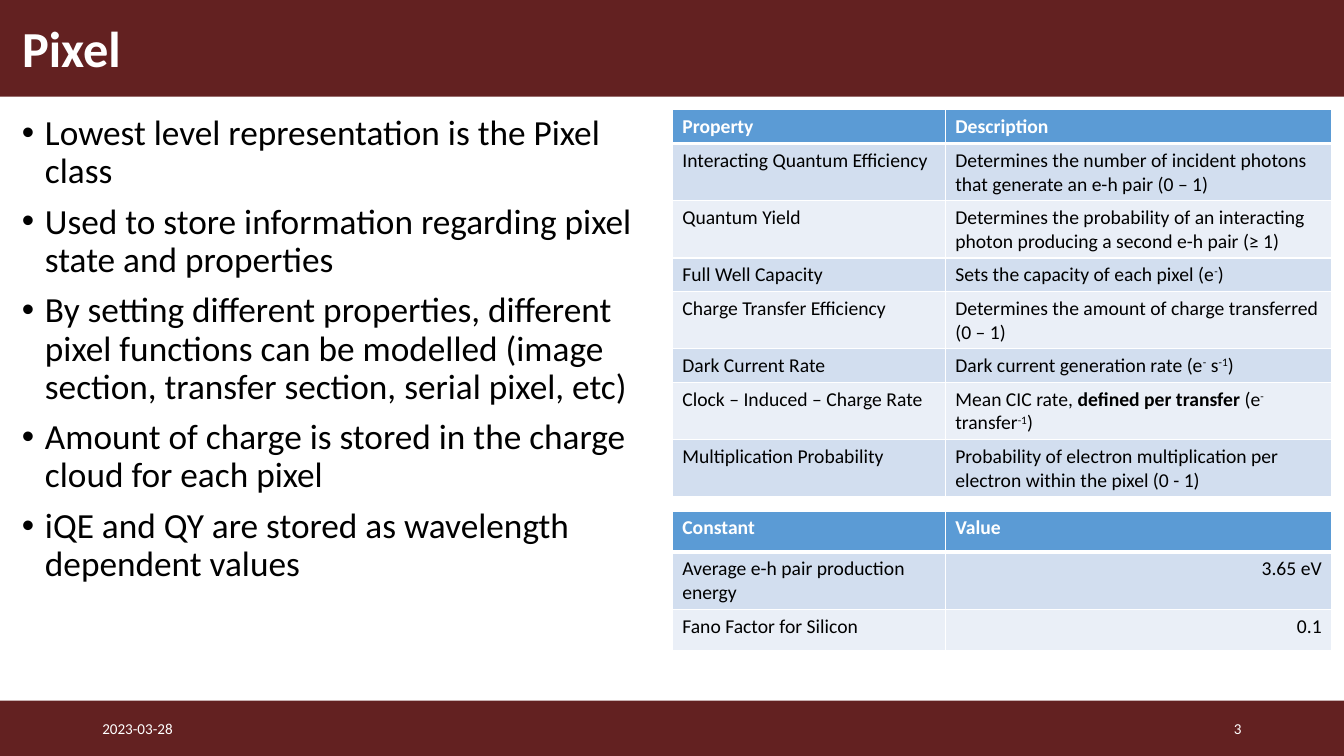
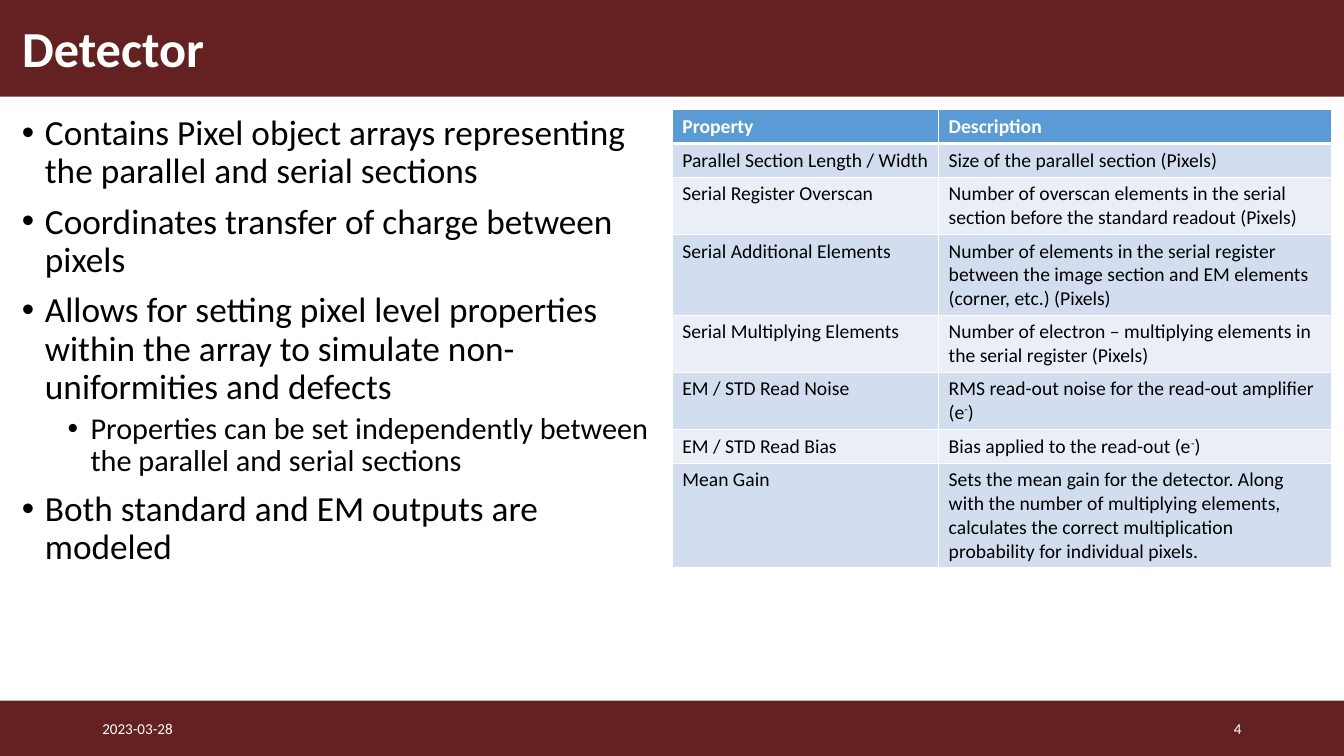
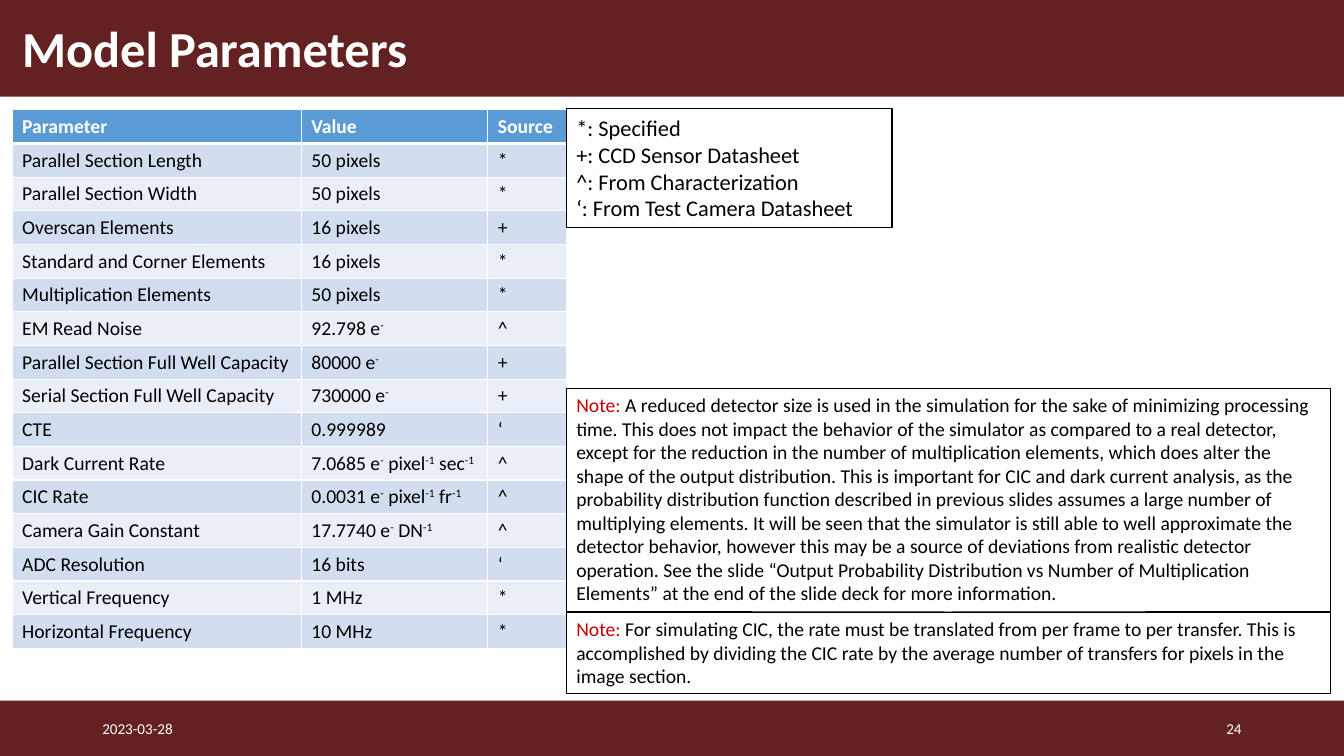
from dataclasses import dataclass

import pptx
import pptx.dml.color
import pptx.enum.shapes
import pptx.enum.text
import pptx.oxml
import pptx.oxml.ns
import pptx.util
from lxml import etree

Pt = pptx.util.Pt
Align = pptx.enum.text.PP_ALIGN
Anchor = pptx.enum.text.MSO_ANCHOR
qn = pptx.oxml.ns.qn


@dataclass(frozen=True)
class Theme:
    font: str = "Calibri"
    band: str = "632121"
    white: str = "FFFFFF"
    black: str = "000000"
    warning: str = "C00000"
    header: str = "5B9BD5"
    stripes: tuple = ("D2DEEF", "EAEFF7")
    title_size: float = 36
    body_sizes: tuple = (25.2, 21.6)
    table_size: float = 14
    legend_size: float = 16
    footer_size: float = 10.8


THEME = Theme()
WIDTH, HEIGHT = 960, 540
MARGIN, TOP = 8.64, 78.5
RIGHT_COLUMN = 480.2
NOTES_LEFT, NOTES_WIDTH = 404.6, 546


def rgb(value):
    return pptx.dml.color.RGBColor.from_string(value)


def write(paragraph, text, size, color=THEME.black, bold=False, align=None,
          line_spacing=None, before=None, bullet_indent=None):
    if bullet_indent is not None:
        properties = paragraph._p.get_or_add_pPr()
        properties.set("marL", str(Pt(bullet_indent)))
        properties.set("indent", str(-Pt(16.4)))
        etree.SubElement(properties, qn("a:buFont")).set("typeface", "Arial")
        etree.SubElement(properties, qn("a:buChar")).set("char", "•")
    if align is not None:
        paragraph.alignment = align
    if line_spacing is not None:
        paragraph.line_spacing = line_spacing
    if before is not None:
        paragraph.space_before = Pt(before)
    for index, piece in enumerate(text.replace("]", "[").split("[")):
        if not piece:
            continue
        run = paragraph.add_run()
        run.text = piece
        run.font.name = THEME.font
        run.font.size = Pt(size)
        run.font.bold = bold
        run.font.color.rgb = rgb(color)
        if index % 2:
            run._r.get_or_add_rPr().set("baseline", "30000")


def set_borders(cell, widths):
    properties = cell._tc.get_or_add_tcPr()
    for index, (side, width) in enumerate(widths.items()):
        line = etree.Element(qn(f"a:ln{side}"), w=str(Pt(width)))
        fill = etree.SubElement(line, qn("a:solidFill"))
        etree.SubElement(fill, qn("a:srgbClr")).set("val", THEME.white)
        properties.insert(index, line)


class Deck:
    def __init__(self):
        self.presentation = pptx.Presentation()
        self.presentation.slide_width = Pt(WIDTH)
        self.presentation.slide_height = Pt(HEIGHT)
        self.slide = None

    def start_slide(self, title, number):
        layout = self.presentation.slide_layouts[6]
        self.slide = self.presentation.slides.add_slide(layout)
        self.band(500.4, 39.6)
        self.band(0, 69.1)
        heading = self.text_frame(MARGIN, 9.4, 783, 54, anchor=Anchor.MIDDLE)
        write(heading.paragraphs[0], title, THEME.title_size, THEME.white,
              bold=True, line_spacing=0.9)
        for left, text, align in ((66, "2023-03-28", Align.LEFT),
                                  (678, number, Align.RIGHT)):
            footer = self.text_frame(left, 506, 216, 28.8, anchor=Anchor.MIDDLE)
            write(footer.paragraphs[0], text, THEME.footer_size, THEME.white,
                  align=align)

    def band(self, top, height):
        band = self.slide.shapes.add_shape(
            pptx.enum.shapes.MSO_SHAPE.RECTANGLE,
            Pt(0), Pt(top), Pt(WIDTH), Pt(height))
        band.shadow.inherit = False
        band.fill.solid()
        band.fill.fore_color.rgb = rgb(THEME.band)
        band.line.fill.background()

    def text_frame(self, left, top, width, height, anchor=Anchor.TOP,
                   wrap=True, outlined=False):
        box = self.slide.shapes.add_textbox(
            Pt(left), Pt(top), Pt(width), Pt(height))
        frame = box.text_frame
        frame.word_wrap = wrap
        frame.vertical_anchor = anchor
        if outlined:
            box.line.color.rgb = rgb(THEME.black)
            box.line.width = Pt(0.75)
            frame.auto_size = pptx.enum.text.MSO_AUTO_SIZE.SHAPE_TO_FIT_TEXT
        return frame

    def bullets(self, items):
        frame = self.text_frame(MARGIN, TOP, 471, 417)
        for index, (level, text) in enumerate(items):
            paragraph = frame.add_paragraph() if index else frame.paragraphs[0]
            paragraph.level = level
            write(paragraph, text, THEME.body_sizes[level], line_spacing=0.9,
                  before=(9, 4.5)[level] if index else 0,
                  bullet_indent=16.4 + 32.6 * level)

    def table(self, left, top, widths, rows, row_height=24, right_column=None):
        table = self.slide.shapes.add_table(
            len(rows), len(widths), Pt(left), Pt(top),
            Pt(sum(widths)), Pt(row_height * len(rows))).table
        table.horz_banding = False
        for column, width in zip(table.columns, widths):
            column.width = Pt(width)
        for r, row in enumerate(rows):
            table.rows[r].height = Pt(row_height)
            for c, content in enumerate(row):
                cell = table.cell(r, c)
                cell.fill.solid()
                cell.fill.fore_color.rgb = rgb(
                    THEME.stripes[(r - 1) % 2] if r else THEME.header)
                set_borders(cell, {"L": 1, "R": 1, "T": 3 if r == 1 else 1,
                                   "B": 1 if r else 3})
                pieces = (content,) if isinstance(content, str) else content
                align = Align.RIGHT if r and c == right_column else Align.LEFT
                for index, piece in enumerate(pieces):
                    write(cell.text_frame.paragraphs[0], piece,
                          THEME.table_size,
                          THEME.black if r else THEME.white,
                          bold=r == 0 or index % 2 == 1, align=align)

    def legend(self, lines):
        frame = self.text_frame(NOTES_LEFT, 77.8, 232.6, 85, wrap=False,
                                outlined=True)
        for index, line in enumerate(lines):
            paragraph = frame.add_paragraph() if index else frame.paragraphs[0]
            write(paragraph, line, THEME.legend_size)

    def note(self, top, height, text):
        frame = self.text_frame(NOTES_LEFT, top, NOTES_WIDTH, height,
                                outlined=True)
        write(frame.paragraphs[0], "Note: ", THEME.table_size, THEME.warning)
        write(frame.paragraphs[0], text, THEME.table_size)


def pixel_slide(deck):
    deck.start_slide("Pixel", "3")
    deck.bullets([
        (0, "Lowest level representation is the Pixel class"),
        (0, "Used to store information regarding pixel state and properties"),
        (0, "By setting different properties, different pixel functions can be "
            "modelled (image section, transfer section, serial pixel, etc)"),
        (0, "Amount of charge is stored in the charge cloud for each pixel"),
        (0, "iQE and QY are stored as wavelength dependent values"),
    ])
    widths = (195, 276.2)
    deck.table(RIGHT_COLUMN, TOP, widths, [
        ("Property", "Description"),
        ("Interacting Quantum Efficiency",
         "Determines the number of incident photons that generate an e-h pair "
         "(0 – 1)"),
        ("Quantum Yield",
         "Determines the probability of an interacting photon producing a "
         "second e-h pair (≥ 1)"),
        ("Full Well Capacity", "Sets the capacity of each pixel (e[-])"),
        ("Charge Transfer Efficiency",
         "Determines the amount of charge transferred (0 – 1)"),
        ("Dark Current Rate", "Dark current generation rate (e[-] s[-1])"),
        ("Clock – Induced – Charge Rate",
         ("Mean CIC rate, ", "defined per transfer ",
          "(e[-] transfer[-1])")),
        ("Multiplication Probability",
         "Probability of electron multiplication per electron within the pixel "
         "(0 - 1)"),
    ])
    deck.table(RIGHT_COLUMN, 365, widths, [
        ("Constant", "Value"),
        ("Average e-h pair production energy", "3.65 eV"),
        ("Fano Factor for Silicon", "0.1"),
    ], row_height=29.5, right_column=1)


def detector_slide(deck):
    deck.start_slide("Detector", "4")
    deck.bullets([
        (0, "Contains Pixel object arrays representing the parallel and serial "
            "sections"),
        (0, "Coordinates transfer of charge between pixels"),
        (0, "Allows for setting pixel level properties within the array to "
            "simulate non-uniformities and defects"),
        (1, "Properties can be set independently between the parallel and "
            "serial sections"),
        (0, "Both standard and EM outputs are modeled"),
    ])
    deck.table(RIGHT_COLUMN, TOP, (190.3, 280.9), [
        ("Property", "Description"),
        ("Parallel Section Length / Width",
         "Size of the parallel section (Pixels)"),
        ("Serial Register Overscan",
         "Number of overscan elements in the serial section before the "
         "standard readout (Pixels)"),
        ("Serial Additional Elements",
         "Number of elements in the serial register between the image section "
         "and EM elements (corner, etc.) (Pixels)"),
        ("Serial Multiplying Elements",
         "Number of electron – multiplying elements in the serial register "
         "(Pixels)"),
        ("EM / STD Read Noise",
         "RMS read-out noise for the read-out amplifier (e[-])"),
        ("EM / STD Read Bias", "Bias applied to the read-out (e[-])"),
        ("Mean Gain",
         "Sets the mean gain for the detector. Along with the number of "
         "multiplying elements, calculates the correct multiplication "
         "probability for individual pixels."),
    ])


def parameters_slide(deck):
    deck.start_slide("Model Parameters", "24")
    deck.table(MARGIN, TOP, (206.6, 133.2, 56.2), [
        ("Parameter", "Value", "Source"),
        ("Parallel Section Length", "50 pixels", "*"),
        ("Parallel Section Width", "50 pixels", "*"),
        ("Overscan Elements", "16 pixels", "+"),
        ("Standard and Corner Elements", "16 pixels", "*"),
        ("Multiplication Elements", "50 pixels", "*"),
        ("EM Read Noise", "92.798 e[-]", "^"),
        ("Parallel Section Full Well Capacity", "80000 e[-]", "+"),
        ("Serial Section Full Well Capacity", "730000 e[-]", "+"),
        ("CTE", "0.999989", "‘"),
        ("Dark Current Rate", "7.0685 e[-] pixel[-1] sec[-1]", "^"),
        ("CIC Rate", "0.0031 e[-] pixel[-1] fr[-1]", "^"),
        ("Camera Gain Constant", "17.7740 e[-] DN[-1]", "^"),
        ("ADC Resolution", "16 bits", "‘"),
        ("Vertical Frequency", "1 MHz", "*"),
        ("Horizontal Frequency", "10 MHz", "*"),
    ])
    deck.legend([
        "*: Specified",
        "+: CCD Sensor Datasheet",
        "^: From Characterization",
        "‘: From Test Camera Datasheet",
    ])
    deck.note(277.2, 160,
              "A reduced detector size is used in the simulation for the sake "
              "of minimizing processing time. This does not impact the behavior "
              "of the simulator as compared to a real detector, except for the "
              "reduction in the number of multiplication elements, which does "
              "alter the shape of the output distribution. This is important "
              "for CIC and dark current analysis, as the probability "
              "distribution function described in previous slides assumes a "
              "large number of multiplying elements. It will be seen that the "
              "simulator is still able to well approximate the detector "
              "behavior, however this may be a source of deviations from "
              "realistic detector operation. See the slide “Output Probability "
              "Distribution vs Number of Multiplication Elements” at the end of "
              "the slide deck for more information.")
    deck.note(437.2, 58.4,
              "For simulating CIC, the rate must be translated from per frame "
              "to per transfer. This is accomplished by dividing the CIC rate "
              "by the average number of transfers for pixels in the image "
              "section.")


def main():
    deck = Deck()
    pixel_slide(deck)
    detector_slide(deck)
    parameters_slide(deck)
    deck.presentation.save("out.pptx")


if __name__ == "__main__":
    main()
